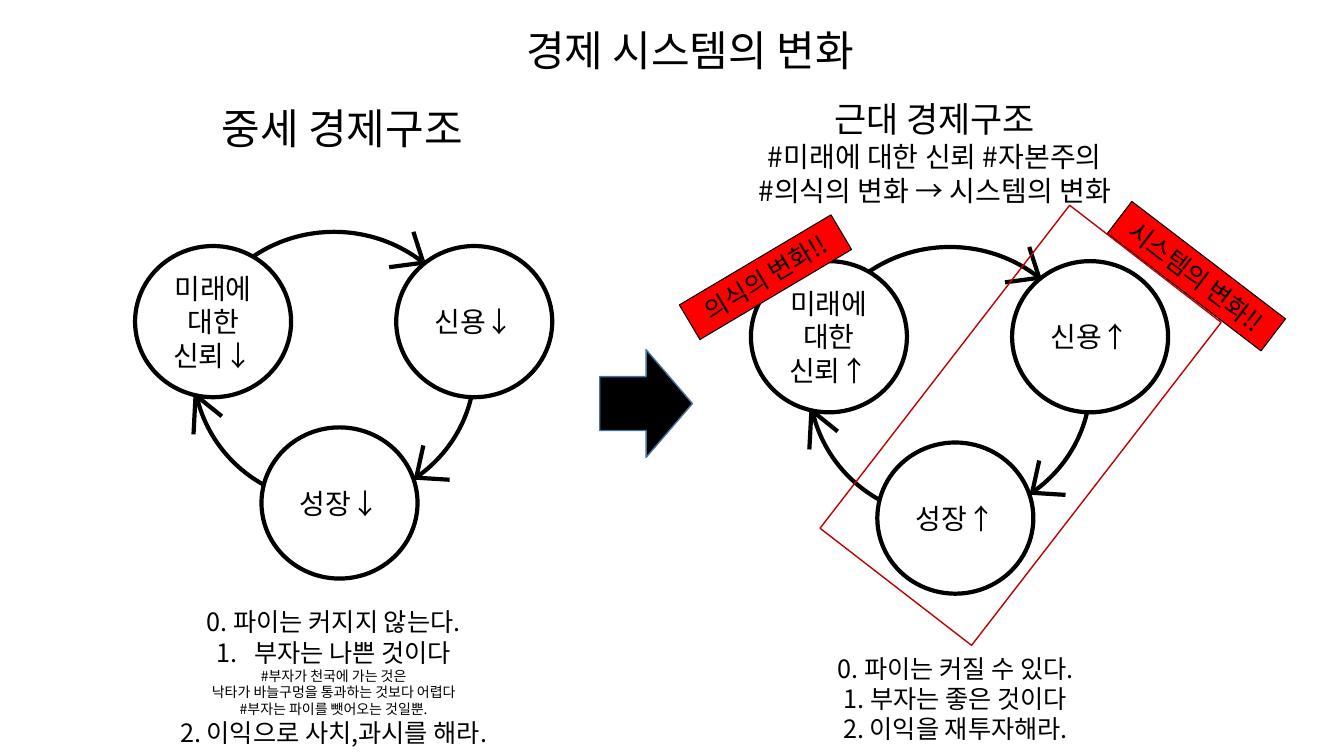
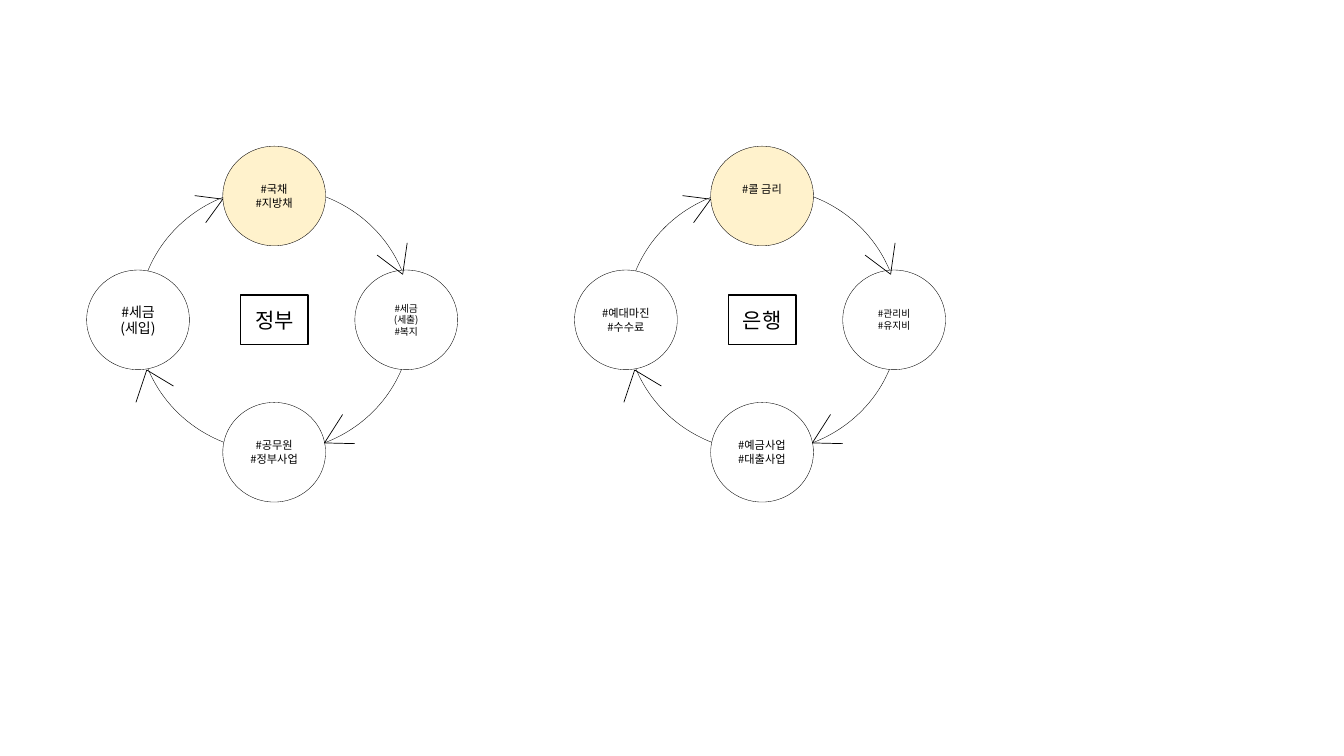
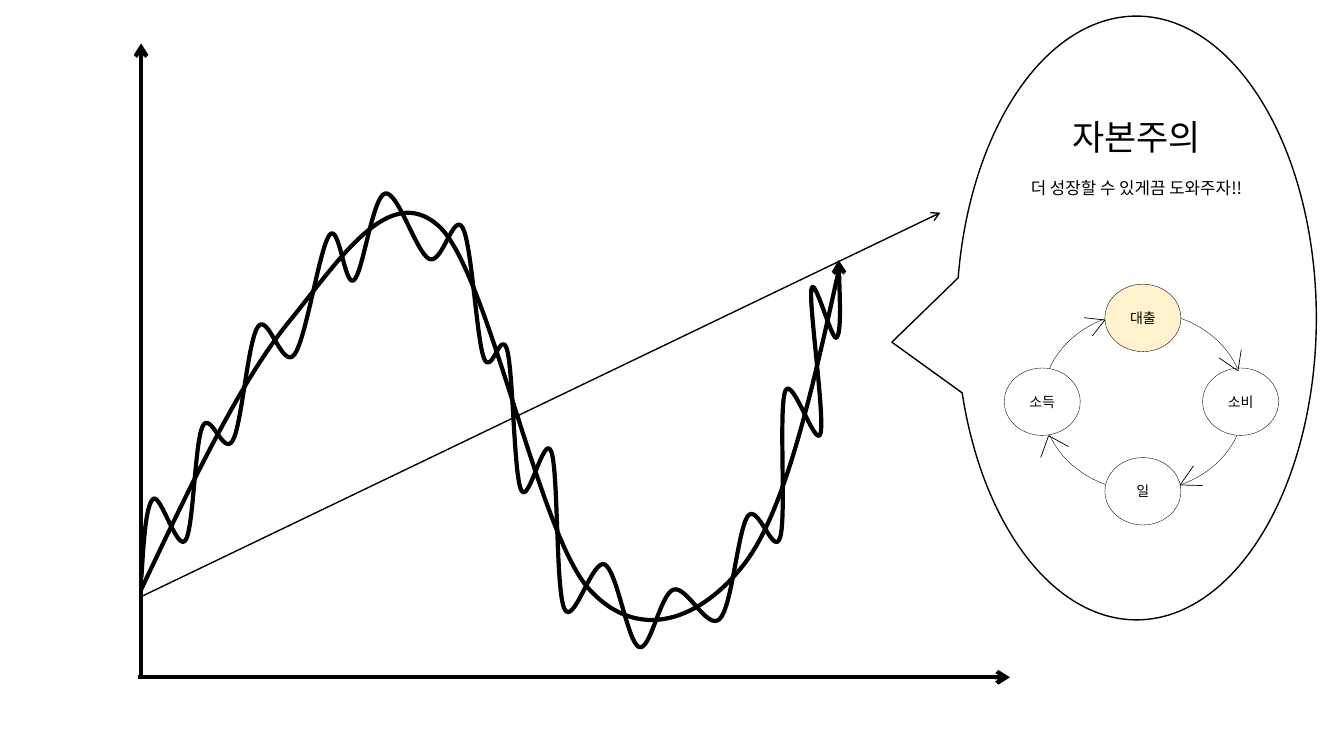
from lxml.etree import SubElement
from pptx import Presentation
from pptx.dml.color import RGBColor
from pptx.enum.shapes import MSO_CONNECTOR, MSO_SHAPE
from pptx.enum.text import MSO_ANCHOR, PP_ALIGN
from pptx.oxml.ns import qn
from pptx.util import Pt

FONT = "Noto Sans CJK KR"
LEADING = 1.2
C = {"ink": "000000", "paper": "FFFFFF", "cream": "FFF2CC", "red": "FF0000",
     "crimson": "C00000", "steel": "43739E"}

# Wheels, in percent of their box: ring, node size, node corners,
# and arrowheads as (tip, barb, barb)
TRIO = {
    "ring": (14, 0, 67.4, 78.2),
    "node": (37.4, 43.6),
    "corners": [(0, 4.1), (62.6, 4.1), (30.3, 56.4)],
    "heads": [((69.1, 8.9), (66.7, 0), (60.9, 10.2)),
              ((67.4, 70.9), (75.4, 71.5), (69.1, 61.6)),
              ((14.5, 47.1), (14, 58.4), (20.8, 53.2))],
}
QUARTET = {
    "ring": (13.9, 11.6, 73.7, 74.3),
    "node": (27.7, 28),
    "corners": [(36.7, 0), (72.3, 34.8), (36.7, 72), (0, 34.8)],
    "heads": [((36.7, 14.9), (29.1, 13.9), (32.1, 21.5)),
              ((16.2, 62.9), (23.4, 67.4), (13.3, 72)),
              ((64.1, 83.4), (72.3, 83.6), (69, 75.4)),
              ((85.2, 36), (86.4, 27.2), (78.3, 30.6))],
}

# Curve knots in points
TREND = [(100.8, 421.2), (206.6, 229.7), (313.2, 161.3), (420.5, 420.5),
         (531.4, 403.2), (599.8, 190.1)]
SWINGS = [(101, 412.6), (109.4, 356.4), (132.5, 385.9), (144.7, 304.6),
          (166.3, 314.6), (184.3, 233.3), (210.2, 253.4), (235.4, 167.8),
          (252.7, 200.2), (275, 138.2), (306.7, 185), (330.5, 162.7),
          (345.6, 255.6), (362.2, 249.8), (372.2, 349.9), (393.8, 322.6),
          (403.2, 434.9), (432, 403.2), (456.5, 462.2), (481, 421.2),
          (514.1, 442.1), (534.2, 368.6), (557.3, 383.8), (560.9, 279.4),
          (586.1, 309.6), (579.6, 206.6), (597.6, 241.2), (599, 185.8)]


def rgb(name):
    return RGBColor.from_string(C[name])


def write(tf, lines, anchor=MSO_ANCHOR.TOP, margins=(7.2, 3.6, 7.2, 3.6)):
    """Fill a text frame with centred (text, size) lines."""
    tf.word_wrap = True
    tf.vertical_anchor = anchor
    tf.margin_left, tf.margin_top, tf.margin_right, tf.margin_bottom = map(Pt, margins)
    for i, (text, size) in enumerate(lines):
        p = tf.paragraphs[0] if i == 0 else tf.add_paragraph()
        p.text = text
        p.alignment = PP_ALIGN.CENTER
        p.line_spacing = Pt(size * LEADING)
        p.space_before = p.space_after = Pt(0)
        for r in p.runs:
            r.font.size = Pt(size)
            r.font.name = FONT
            r.font.color.rgb = rgb("ink")
            SubElement(r._r.get_or_add_rPr(), qn("a:ea"), typeface=FONT)


def text_box(s, box, lines):
    tf = s.shapes.add_textbox(*map(Pt, box)).text_frame
    write(tf, lines)
    return tf


def outline(sp, color, width, fill=None):
    sp.shadow.inherit = False
    if fill:
        sp.fill.solid()
        sp.fill.fore_color.rgb = rgb(fill)
    else:
        sp.fill.background()
    sp.line.color.rgb = rgb(color)
    sp.line.width = Pt(width)


def shape(s, kind, box, width, fill=None, color="ink", rotation=0):
    sp = s.shapes.add_shape(kind, *map(Pt, box))
    outline(sp, color, width, fill)
    sp.rotation = rotation
    return sp


def arrow_end(sp):
    SubElement(sp.line._get_or_add_ln(), qn("a:tailEnd"), type="arrow")


def line(s, start, end, width, arrow=False):
    cn = s.shapes.add_connector(MSO_CONNECTOR.STRAIGHT, *map(Pt, (*start, *end)))
    cn.line.color.rgb = rgb("ink")
    cn.line.width = Pt(width)
    if arrow:
        arrow_end(cn)
    SubElement(cn._element.spPr, qn("a:effectLst"))


def wheel(s, plan, box, nodes, width, head_width, accent=None):
    """A ring of nodes joined by arrows; nodes are (text, size, lift)."""
    x, y, w, h = box

    def at(px, py):
        return x + w * px / 100, y + h * py / 100

    def part(px, py, pw, ph):
        return (*at(px, py), w * pw / 100, h * ph / 100)

    shape(s, MSO_SHAPE.OVAL, part(*plan["ring"]), width)
    for i, (corner, (text, size, lift)) in enumerate(zip(plan["corners"], nodes)):
        fill = accent if accent and i == 0 else "paper"
        sp = shape(s, MSO_SHAPE.OVAL, part(*corner, *plan["node"]), width, fill)
        write(sp.text_frame, [(t, size) for t in text.split("\n")],
              MSO_ANCHOR.MIDDLE, (5, 0, 5, lift))
    for tip, *barbs in plan["heads"]:
        for barb in barbs:
            line(s, at(*tip), at(*barb), head_width)


def curve(s, knots, arrow=False):
    """A smooth open line through the knots, each tangent set by its neighbours."""
    def mid(a, b):
        return tuple((m + n) / 2 for m, n in zip(a, b))

    tangents = [tuple((n - m) / 6 for m, n in zip(a, b))
                for a, b in zip(knots, knots[2:])]
    outgoing = [tuple(m + t for m, t in zip(k, d)) for k, d in zip(knots[1:], tangents)]
    incoming = [tuple(m - t for m, t in zip(k, d)) for k, d in zip(knots[1:], tangents)]
    outgoing.insert(0, mid(knots[0], incoming[0]))
    incoming.append(mid(outgoing[-1], knots[-1]))
    points = [pt for trio in zip(outgoing, incoming, knots[1:]) for pt in trio]

    fb = s.shapes.build_freeform(*map(Pt, knots[0]))
    fb.add_line_segments([tuple(map(Pt, pt)) for pt in points], close=False)
    sp = fb.convert_to_shape()
    # Join each three straight segments into one Bezier segment
    geom = next(sp._element.iter(qn("a:path")))
    segments = geom.findall(qn("a:lnTo"))
    for i in range(0, len(segments), 3):
        bezier = SubElement(geom, qn("a:cubicBezTo"))
        for segment in segments[i:i + 3]:
            bezier.append(segment[0])
            geom.remove(segment)
    outline(sp, "ink", 3)
    if arrow:
        arrow_end(sp)


def economy(s, x, y, sign):
    nodes = [("미래에\n대한\n신뢰" + sign, 20, 0), ("신용" + sign, 20, 0),
             ("성장" + sign, 20, 0)]
    wheel(s, TRIO, (x, y, 298, 247.7), nodes, 3, 3)


def banner(s, box, text, rotation):
    sp = shape(s, MSO_SHAPE.RECTANGLE, box, 0.75, "red", rotation=rotation)
    write(sp.text_frame, [(text, 18)])


def institution(s, x, y, name, nodes):
    wheel(s, QUARTET, (x, y, 265, 254.2), nodes, 0.25, 0.5, "cream")
    label = shape(s, MSO_SHAPE.RECTANGLE, (x + 110, y + 106.4, 48.2, 35.3), 1)
    write(label.text_frame, [(name, 15)], MSO_ANCHOR.MIDDLE, (0, 0, 0, 0))


def callout(s, x, y, w, h):
    sp = shape(s, MSO_SHAPE.OVAL_CALLOUT, (x, y, w, h), 1)
    sp.adjustments[0], sp.adjustments[1] = -0.68, 0.04
    write(sp.text_frame, [("자본주의", 25), ("더 성장할 수 있게끔 도와주자!!", 12)],
          margins=(0, 8, 0, 0))
    sp.text_frame.paragraphs[1].space_before = Pt(14)
    nodes = [(t, 10, 0) for t in ("대출", "소비", "일", "소득")]
    wheel(s, QUARTET, (x + 34, y + 191.5, 196, 172), nodes, 0.25, 0.5, "cream")


def change_slide(prs):
    s = prs.slides.add_slide(prs.slide_layouts[5])
    title = s.shapes.title
    title.left, title.top, title.width, title.height = map(Pt, (319.7, 13.7, 346.3, 43.9))
    write(title.text_frame, [("경제 시스템의 변화", 30)])

    # Medieval economy
    economy(s, 96.5, 165.6, "↓")
    text_box(s, (71.3, 69.8, 346.3, 43.9), [("중세 경제구조", 30)])
    tf = text_box(s, (104.4, 429.8, 267.8, 108.7), [
        ("0. 파이는 커지지 않는다.", 18),
        ("부자는 나쁜 것이다", 18),
        ("#부자가 천국에 가는 것은", 10),
        ("낙타가 바늘구멍을 통과하는 것보다 어렵다", 10),
        ("#부자는 파이를 뺏어오는 것일뿐.", 10),
        ("2. 이익으로 사치,과시를 해라.", 18)])
    pPr = tf.paragraphs[1]._p.get_or_add_pPr()
    pPr.set("marL", str(Pt(27)))
    pPr.set("indent", str(Pt(-27)))
    SubElement(pPr, qn("a:buFont"), typeface=FONT)
    SubElement(pPr, qn("a:buAutoNum"), type="arabicPeriod")

    shape(s, MSO_SHAPE.RIGHT_ARROW, (428.4, 249.8, 66.2, 77), 1, "ink", "steel")

    # Modern economy
    text_box(s, (494.6, 66.2, 346.3, 85.7), [
        ("근대 경제구조", 25),
        ("#미래에 대한 신뢰 #자본주의", 20),
        ("#의식의 변화 → 시스템의 변화", 20)])
    economy(s, 536.4, 176.4, "↑")
    banner(s, (483.8, 183.6, 126, 28.8), "의식의 변화!!", 329.3)
    banner(s, (785.5, 182.9, 138.2, 28.8), "시스템의 변화!!", 37.4)
    text_box(s, (548.6, 463, 267.8, 72.7), [
        ("0. 파이는 커질 수 있다.", 18),
        ("1. 부자는 좋은 것이다", 18),
        ("2. 이익을 재투자해라.", 18)])
    shape(s, MSO_SHAPE.RECTANGLE, (583.2, 235.4, 291.6, 136.8), 1,
          color="crimson", rotation=127.7)


def institutions_slide(prs):
    s = prs.slides.add_slide(prs.slide_layouts[6])
    institution(s, 61.9, 104.4, "정부", [
        ("#국채\n#지방채", 8, 0), ("#세금\n(세출)\n#복지", 7, 0),
        ("#공무원\n#정부사업", 8, 0), ("#세금(세입)", 10, 0)])
    institution(s, 410.4, 104.4, "은행", [
        ("#콜 금리", 8, 10), ("#관리비\n#유지비", 7, 0),
        ("#예금사업\n#대출사업", 8, 0), ("#예대마진\n#수수료", 8, 0)])


def growth_slide(prs):
    s = prs.slides.add_slide(prs.slide_layouts[6])
    # Axes and long-run growth
    line(s, (100.8, 483.1), (100.8, 31), 3, True)
    line(s, (98.6, 483.8), (721.4, 483.8), 3, True)
    line(s, (100.8, 426.2), (671.8, 151.9), 1, True)
    # Business cycles
    curve(s, TREND)
    curve(s, SWINGS, True)
    callout(s, 683.3, 11.5, 257, 431.3)


def main():
    prs = Presentation()
    prs.slide_width, prs.slide_height = Pt(960), Pt(540)
    change_slide(prs)
    institutions_slide(prs)
    growth_slide(prs)
    prs.save("out.pptx")


if __name__ == "__main__":
    main()
